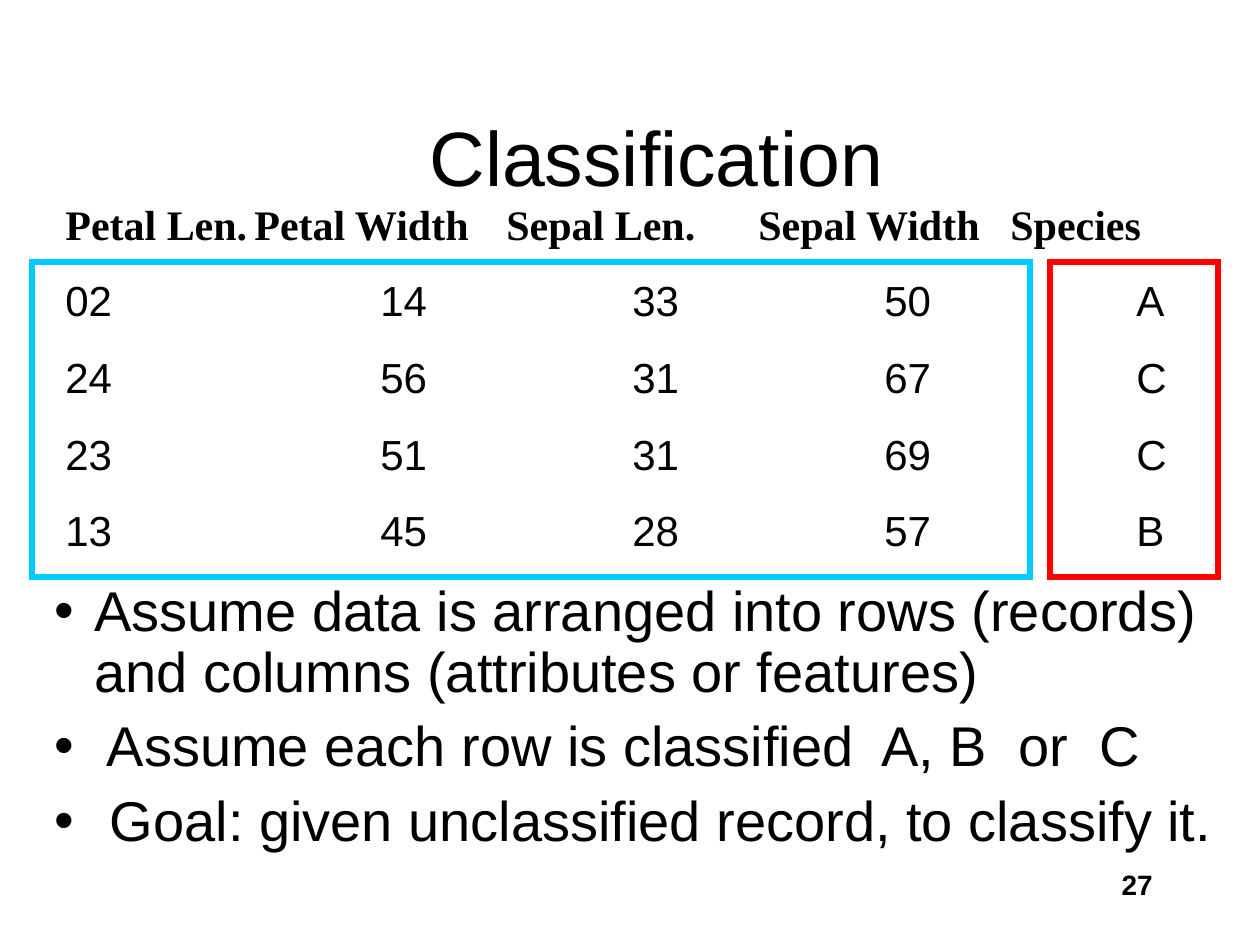
from lxml import etree
from pptx import Presentation
from pptx.dml.color import RGBColor
from pptx.enum.shapes import MSO_SHAPE
from pptx.enum.text import MSO_ANCHOR, PP_ALIGN
from pptx.oxml.ns import qn
from pptx.util import Emu, Pt

PX_PER_INCH = 126
EMU_PER_INCH = 914400
RECTANGLE = MSO_SHAPE.RECTANGLE
MIDDLE = MSO_ANCHOR.MIDDLE
CENTER, RIGHT = PP_ALIGN.CENTER, PP_ALIGN.RIGHT

TITLE = "Classification"
HEADINGS = ["Petal Len.", "Petal Width", "Sepal Len.", "Sepal Width", "Species"]
RECORDS = [
    ["02", "14", "33", "50", "A"],
    ["24", "56", "31", "67", "C"],
    ["23", "51", "31", "69", "C"],
    ["13", "45", "28", "57", "B"],
]
BULLETS = [
    "Assume data is arranged into rows (records) and columns (attributes or features)",
    " Assume each row is classified  A, B  or  C",
    " Goal: given unclassified record, to classify it.",
]
SLIDE_NUMBER = "27"

# left, top, width, height in px
TITLE_BOX = (174, 97, 965, 118)
RECORDS_BOX = (53, 192, 1176, 370)
BULLETS_BOX = (42, 577, 1197, 284)
NUMBER_BOX = (903, 861, 262, 63)
FRAMES = [
    ((32, 262, 998, 315), "00CCFF"),
    ((1050, 262, 168, 315), "FF0000"),
]
HEADING_TAB = 189
VALUE_TAB = 315
COLUMN_STEP = 252
BULLET_INDENT = 40


def px(length):
    return Emu(round(length * EMU_PER_INCH / PX_PER_INCH))


def color(value):
    return RGBColor.from_string(value)


def add_text(slide, box, lines, size, font="Arial", bold=False, align=None):
    text_frame = slide.shapes.add_textbox(*map(px, box)).text_frame
    text_frame.word_wrap = True
    text_frame.text = "\n".join(lines)
    for paragraph in text_frame.paragraphs:
        paragraph.alignment = align
        for run in paragraph.runs:
            run.font.size = Pt(size)
            run.font.name = font
            run.font.bold = bold
            run.font.color.rgb = color("000000")
    return text_frame


def add_tab_stops(paragraph, first_stop):
    """Set one left tab stop for each column after the first."""
    tabs = etree.SubElement(paragraph._p.get_or_add_pPr(), qn("a:tabLst"))
    for column in range(len(HEADINGS) - 1):
        position = px(first_stop + column * COLUMN_STEP)
        etree.SubElement(tabs, qn("a:tab"), pos=str(position), algn="l")


def add_records(slide):
    rows = ["\t".join(row) for row in [HEADINGS, *RECORDS]]
    text_frame = add_text(slide, RECORDS_BOX, rows, 24)
    heading, *records = text_frame.paragraphs
    add_tab_stops(heading, HEADING_TAB)
    for run in heading.runs:
        run.font.name = "Times New Roman"
        run.font.bold = True
    for paragraph in records:
        add_tab_stops(paragraph, VALUE_TAB)
        paragraph.space_before = Pt(15)


def add_bullets(slide):
    text_frame = add_text(slide, BULLETS_BOX, BULLETS, 32)
    for index, paragraph in enumerate(text_frame.paragraphs):
        properties = paragraph._p.get_or_add_pPr()
        properties.set("marL", str(px(BULLET_INDENT)))
        properties.set("indent", str(-px(BULLET_INDENT)))
        etree.SubElement(properties, qn("a:buFont"), typeface="Arial")
        etree.SubElement(properties, qn("a:buChar"), char="•")
        paragraph.line_spacing = 0.9
        if index:
            paragraph.space_before = Pt(8)


def add_frame(slide, box, line_color):
    shape = slide.shapes.add_shape(RECTANGLE, *map(px, box))
    shape.shadow.inherit = False
    shape.fill.background()
    shape.line.color.rgb = color(line_color)
    shape.line.width = Pt(3)
    outline = shape._element.spPr.find(qn("a:ln"))
    etree.SubElement(outline, qn("a:miter"), lim="800000")


def main():
    presentation = Presentation()
    presentation.slide_width = px(1260)
    presentation.slide_height = px(945)
    slide = presentation.slides.add_slide(presentation.slide_layouts[6])

    title = add_text(slide, TITLE_BOX, [TITLE], 44, align=CENTER)
    title.vertical_anchor = MIDDLE
    add_bullets(slide)
    add_records(slide)
    for box, line_color in FRAMES:
        add_frame(slide, box, line_color)
    add_text(slide, NUMBER_BOX, [SLIDE_NUMBER], 16, bold=True, align=RIGHT)

    presentation.save("out.pptx")


if __name__ == "__main__":
    main()
